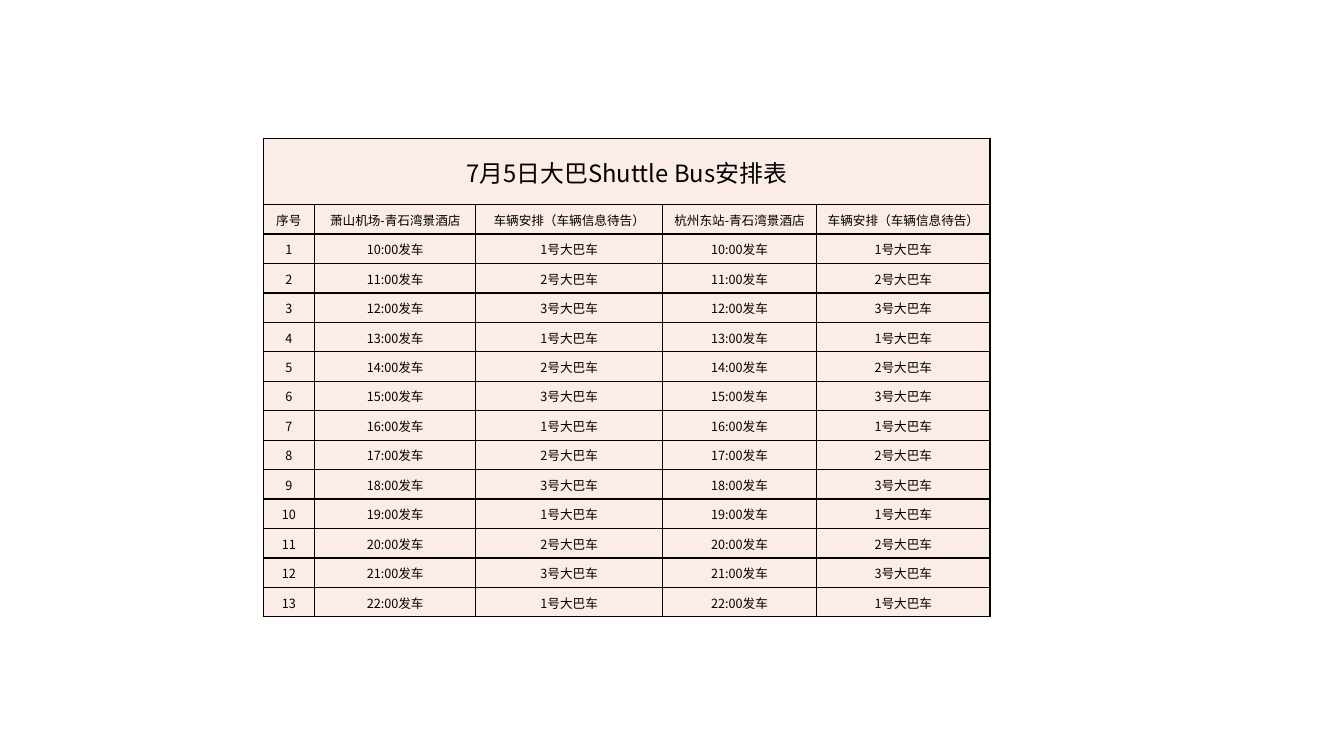
from dataclasses import dataclass

from lxml.etree import SubElement
from pptx import Presentation
from pptx.dml.color import RGBColor as Color
from pptx.enum.text import MSO_ANCHOR as Anchor, PP_ALIGN as Align
from pptx.oxml.ns import qn
from pptx.util import Inches, Pt


@dataclass(frozen=True)
class Theme:
    """Colours, type and line sizes of the timetable."""
    font: str = "Noto Sans CJK SC"
    ink: str = "000000"
    blush: str = "FCECE8"
    title_size: int = 17
    body_size: int = 9
    border: int = 1


THEME = Theme()
LEFT, TOP = 2.61, 1.37
COLUMN_WIDTHS = (0.51, 1.6, 1.85, 1.53, 1.72)
TITLE_HEIGHT, TABLE_HEIGHT = 0.66, 4.75
TITLE = "7月5日大巴Shuttle Bus安排表"
VEHICLES = "车辆安排（车辆信息待告）"
HEADINGS = ("序号", "萧山机场-青石湾景酒店", VEHICLES, "杭州东站-青石湾景酒店", VEHICLES)
TRIPS, BUSES, FIRST_HOUR = 13, 3, 10


def timetable():
    """Return the heading row followed by one row per hourly trip."""
    rows = [HEADINGS]
    for trip in range(TRIPS):
        departure = f"{FIRST_HOUR + trip}:00发车"
        bus = f"{trip % BUSES + 1}号大巴车"
        rows.append((str(trip + 1), departure, bus, departure, bus))
    return rows


def draw_borders(cell):
    """Draw a solid line on all four sides of a cell."""
    properties = cell._tc.get_or_add_tcPr()
    for index, side in enumerate(("a:lnL", "a:lnR", "a:lnT", "a:lnB")):
        line = SubElement(properties, qn(side), w=str(Pt(THEME.border)))
        fill = SubElement(line, qn("a:solidFill"))
        SubElement(fill, qn("a:srgbClr"), val=THEME.ink)
        properties.insert(index, line)


def style_cell(cell):
    """Give a cell its fill, borders, margins and anchor."""
    cell.fill.solid()
    cell.fill.fore_color.rgb = Color.from_string(THEME.blush)
    cell.margin_left = cell.margin_right = cell.margin_top = Inches(0.01)
    cell.margin_bottom = 0
    cell.vertical_anchor = Anchor.MIDDLE
    draw_borders(cell)


def write_cell(cell, text, size):
    """Write centred text in the theme font."""
    para = cell.text_frame.paragraphs[0]
    para.text = text
    para.alignment = Align.CENTER
    font = para.font
    font.size = Pt(size)
    font.color.rgb = Color.from_string(THEME.ink)
    font.name = THEME.font
    defaults = para._p.pPr.find(qn("a:defRPr"))
    SubElement(defaults, qn("a:ea"), typeface=THEME.font)


def add_timetable(page, rows):
    """Add the titled shuttle bus table to the page."""
    frame = page.shapes.add_table(
        len(rows) + 1, len(COLUMN_WIDTHS), Inches(LEFT), Inches(TOP),
        Inches(sum(COLUMN_WIDTHS)), Inches(TABLE_HEIGHT))
    table = frame.table
    table.first_row = table.horz_banding = False
    for column, width in zip(table.columns, COLUMN_WIDTHS):
        column.width = Inches(width)
    for row in table.rows:
        row.height = Inches((TABLE_HEIGHT - TITLE_HEIGHT) / len(rows))
    table.rows[0].height = Inches(TITLE_HEIGHT)
    for cell in table.iter_cells():
        style_cell(cell)
    title = table.cell(0, 0)
    title.merge(table.cell(0, len(COLUMN_WIDTHS) - 1))
    write_cell(title, TITLE, THEME.title_size)
    for row_index, row in enumerate(rows, start=1):
        for column_index, text in enumerate(row):
            write_cell(table.cell(row_index, column_index), text, THEME.body_size)


def main():
    """Build the shuttle bus slide and save it."""
    deck = Presentation()
    deck.slide_width, deck.slide_height = Inches(13.33), Inches(7.5)
    page = deck.slides.add_slide(deck.slide_layouts[6])
    add_timetable(page, timetable())
    deck.save("out.pptx")


if __name__ == "__main__":
    main()
